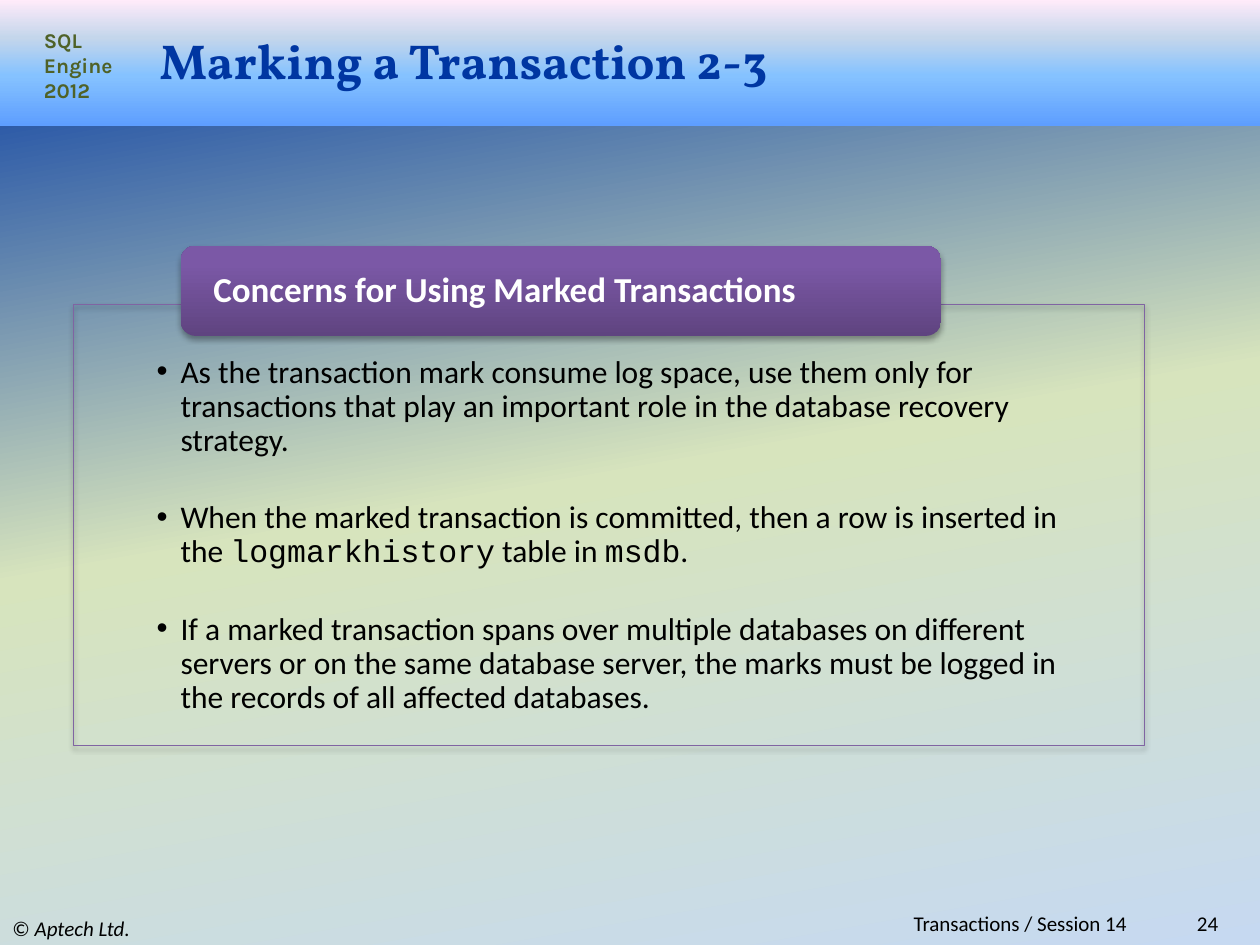
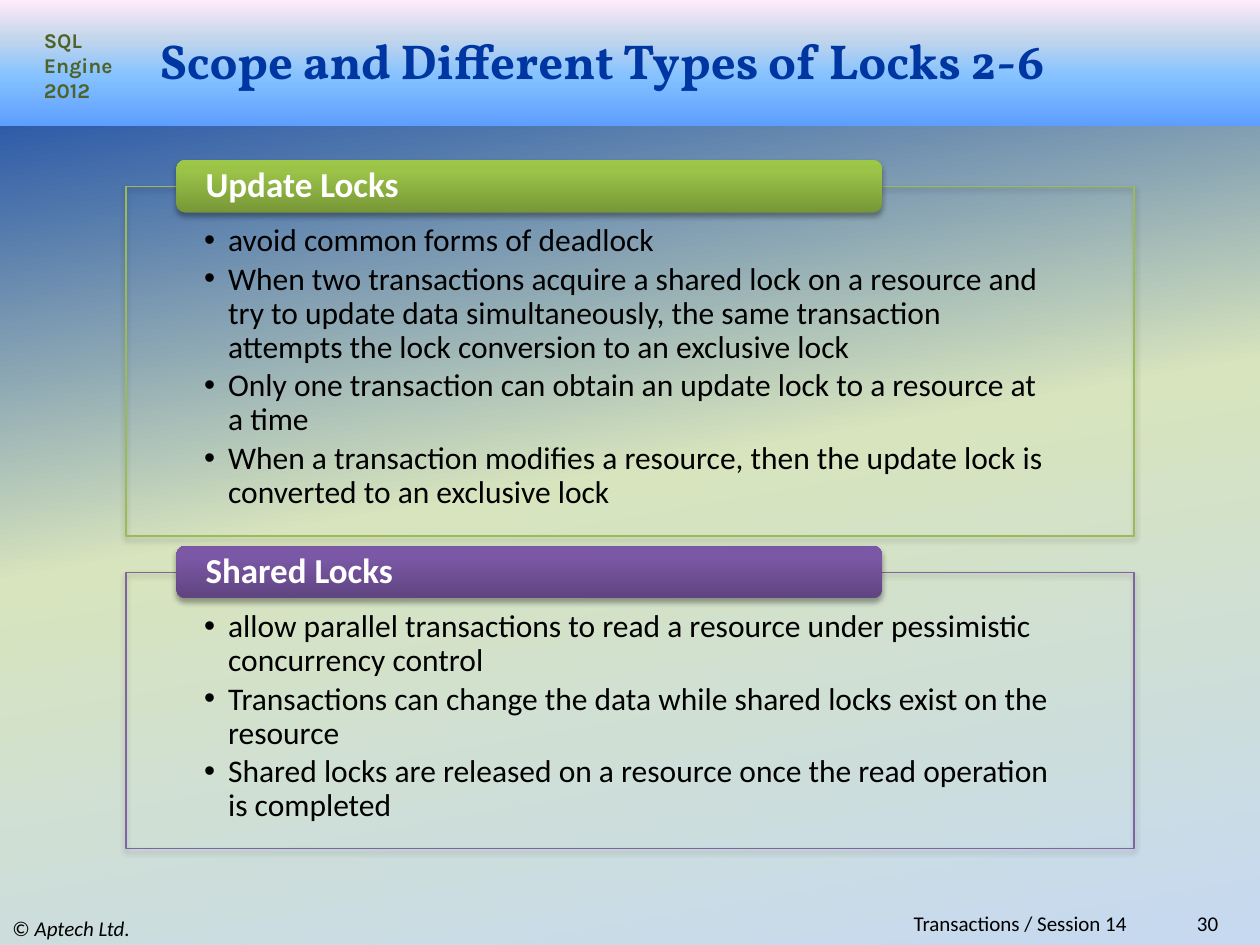
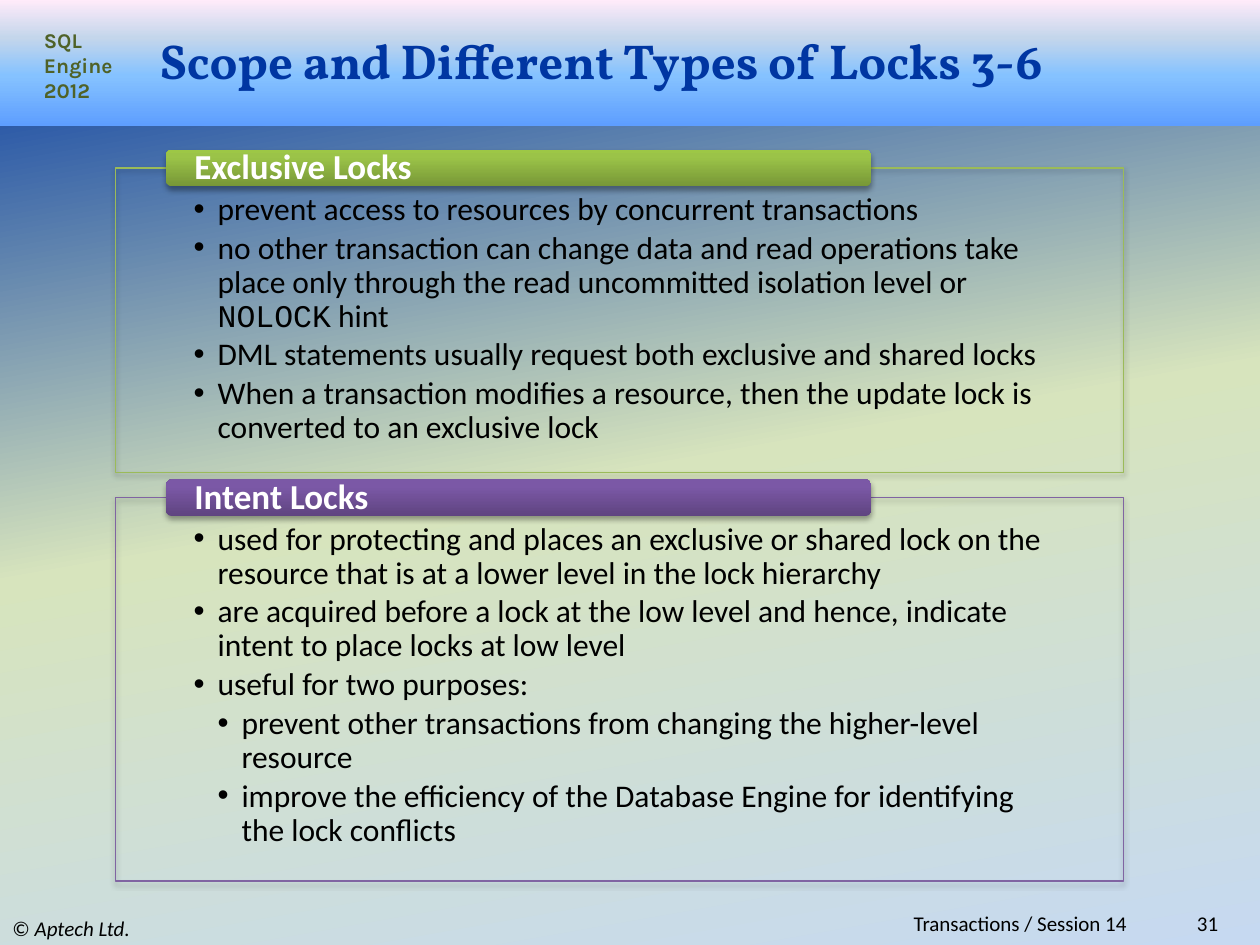
from lxml import etree
from pptx import Presentation
from pptx.dml.color import RGBColor
from pptx.enum.shapes import MSO_SHAPE
from pptx.enum.text import MSO_ANCHOR, MSO_AUTO_SIZE, PP_ALIGN
from pptx.oxml.ns import qn
from pptx.util import Inches, Pt

RECTANGLE, ROUNDED = MSO_SHAPE.RECTANGLE, MSO_SHAPE.ROUNDED_RECTANGLE
TOP, MIDDLE = MSO_ANCHOR.TOP, MSO_ANCHOR.MIDDLE
LEFT, RIGHT = PP_ALIGN.LEFT, PP_ALIGN.RIGHT
NO_AUTOFIT = MSO_AUTO_SIZE.NONE

COLORS = {
    "black": "000000", "white": "FFFFFF", "title": "0036A2",
    "course": "4F6228", "green": "9BBB59", "purple": "8064A2",
}
GRADIENTS = {
    "page": {0: "0036A2", 50: "D7E4BD", 100: "C6D9F1"},
    "band": {0: "5E9EFF", 40: "85C2FF", 70: "C4D6EB", 100: "FFEBFA"},
    "green": {0: "779737", 80: "9BC348", 100: "9DC746"},
    "purple": {0: "5F4480", 80: "7B58A6", 100: "7C57A8"},
}
BODY_FONT, TITLE_FONT, COURSE_FONT = "Calibri", "Vollkorn", "Karla"
CODE = {"name": "Courier New"}
COLUMNS, ROWS = 120, 90
BULLET_INDENT = 0.19


def paint(owner, fill, stops, angle):
    """Fill with a gradient whose angle runs clockwise from the left edge."""
    fill.gradient()
    fill.gradient_angle = 360 - angle
    stop_list = owner.element.find(".//" + qn("a:gsLst"))
    for stop in list(stop_list):
        stop_list.remove(stop)
    for share, color in stops.items():
        stop = etree.SubElement(stop_list, qn("a:gs"), pos=str(share * 1000))
        etree.SubElement(stop, qn("a:srgbClr"), val=color)


def cast_shadow(shape):
    """Give a shape a soft shadow straight below it."""
    shape.shadow.inherit = False
    effects = shape.element.spPr.find(qn("a:effectLst"))
    shadow = etree.SubElement(effects, qn("a:outerShdw"), blurRad="40000",
                              dist="23000", dir="5400000", rotWithShape="0")
    color = etree.SubElement(shadow, qn("a:srgbClr"), val=COLORS["black"])
    etree.SubElement(color, qn("a:alpha"), val="35000")


def add_bullet(para, level):
    """Give a paragraph a hanging bullet at the given level."""
    properties = para._p.get_or_add_pPr()
    properties.set("marL", str(Inches(BULLET_INDENT * level)))
    properties.set("indent", str(-Inches(BULLET_INDENT)))
    etree.SubElement(properties, qn("a:buFont"), typeface="Arial")
    etree.SubElement(properties, qn("a:buChar"), char="•")


def write(frame, text, size=12, font=BODY_FONT, color="black", bold=False, align=LEFT,
          anchor=MIDDLE, bullets=False, spacing=None, after=0, insets=None, marked=CODE):
    """Write lines of text; backticks enclose spans in the marked format."""
    frame.word_wrap, frame.auto_size = True, NO_AUTOFIT
    frame.vertical_anchor = anchor
    if insets:
        (frame.margin_left, frame.margin_top,
         frame.margin_right, frame.margin_bottom) = insets
    for index, line in enumerate(text.split("\n")):
        para = frame.add_paragraph() if index else frame.paragraphs[0]
        if bullets:
            add_bullet(para, 2 if line.startswith("> ") else 1)
        para.alignment, para.space_after = align, Pt(after)
        if spacing:
            para.line_spacing = spacing
        for number, part in enumerate(line.removeprefix("> ").split("`")):
            if not part:
                continue
            span = para.add_run()
            span.text = part
            span.font.name, span.font.size, span.font.bold = font, Pt(size), bold
            span.font.color.rgb = RGBColor.from_string(COLORS[color])
            if number % 2:
                for name, value in marked.items():
                    setattr(span.font, name, value)


class Lesson:
    """Holds the deck, its style and the current page."""

    def __init__(self):
        """Open a deck with the shared background."""
        self.deck = Presentation()
        self.deck.slide_width, self.deck.slide_height = Inches(10), Inches(7.5)
        master = self.deck.slide_master
        paint(master, master.background.fill, GRADIENTS["page"], 80)
        self.page = None

    def place(self, left, top, width, height):
        """Turn columns and rows into slide lengths."""
        column = self.deck.slide_width / COLUMNS
        row = self.deck.slide_height / ROWS
        return (round(left * column), round(top * row),
                round(width * column), round(height * row))

    def text(self, cells, text, **style):
        """Add a text box."""
        box = self.page.shapes.add_textbox(*self.place(*cells))
        write(box.text_frame, text, **style)

    def block(self, kind, cells, gradient):
        """Add a gradient shape without an outline."""
        shape = self.page.shapes.add_shape(kind, *self.place(*cells))
        paint(shape, shape.fill, GRADIENTS[gradient], 270)
        shape.line.fill.background()
        shape.shadow.inherit = False
        return shape

    def start_page(self, title, number):
        """Add a page with its band, title and footers."""
        self.page = self.deck.slides.add_slide(self.deck.slide_layouts[5])
        self.block(RECTANGLE, (0, 0, COLUMNS, 12), "band")
        self.text((0, 86.8, 40, 3.2), "© `Aptech Ltd.`", marked={"italic": True})
        self.text((3, 2, 9, 8.5), "SQL Engine 2012", font=COURSE_FONT,
                  color="course", bold=True, anchor=TOP)
        self.text((107, 86.8, 10.2, 2.2), str(number), align=RIGHT)
        self.text((30, 86.8, 78.5, 2.2), "Transactions / Session 14", align=RIGHT)
        heading = self.page.shapes.title
        heading.left, heading.top, heading.width, heading.height = self.place(3 + 11, 3, 100, 5.4)
        write(heading.text_frame, title, size=28, font=TITLE_FONT, color="title", bold=True)
        heading.element.getparent().append(heading.element)

    def panel(self, cells, heading, points, color, tab_height, text_top,
              tab_left=0.05, tab_width=0.7, rise=None, after=2.7):
        """Add a framed bullet list with a heading tab over its top edge."""
        left, top, width, height = cells
        frame = self.page.shapes.add_shape(RECTANGLE, *self.place(*cells))
        frame.fill.background()
        frame.line.color.rgb = RGBColor.from_string(COLORS[color])
        frame.line.width = Pt(0.75)
        cast_shadow(frame)
        side = 0.0776 * width
        self.text(cells, points, size=18, anchor=TOP, bullets=True, spacing=0.9,
                  after=after, insets=self.place(side, text_top, side, 1.7))
        tab = self.block(ROUNDED, (left + tab_left * width, top - (rise or tab_height / 2),
                                   tab_width * width, tab_height), color)
        cast_shadow(tab)
        inset = 0.0265 * width
        write(tab.text_frame, heading, size=20, color="white", bold=True, spacing=0.9,
              insets=self.place(inset, 0, inset, 0))


def main():
    """Build the three lesson pages."""
    lesson = Lesson()

    lesson.start_page("Marking a Transaction 2-3", 24)
    lesson.panel(
        (7, 29, 102, 42), "Concerns for Using Marked Transactions",
        "As the transaction mark consume log space, use them only for transactions "
        "that play an important role in the database recovery strategy.\n"
        "When the marked transaction is committed, then a row is inserted in the "
        "`logmarkhistory` table in `msdb`.\n"
        "If a marked transaction spans over multiple databases on different servers or on "
        "the same database server, the marks must be logged in the records of all "
        "affected databases.",
        "purple", tab_height=8.6, text_top=4.9, tab_left=0.1, tab_width=0.71,
        rise=5.6, after=24.8)

    lesson.start_page("Scope and Different Types of Locks 2-6", 30)
    lesson.panel(
        (12, 17.75, 96, 33.3), "Update Locks",
        "avoid common forms of deadlock\n"
        "When two transactions acquire a shared lock on a resource and try to update data "
        "simultaneously, the same transaction attempts the lock conversion to an "
        "exclusive lock\n"
        "Only one transaction can obtain an update lock to a resource at a time\n"
        "When a transaction modifies a resource, then the update lock is converted to an "
        "exclusive lock",
        "green", tab_height=5, text_top=3.6)
    lesson.panel(
        (12, 54.5, 96, 26.3), "Shared Locks",
        "allow parallel transactions to read a resource under pessimistic concurrency control\n"
        "Transactions can change the data while shared locks exist on the resource\n"
        "Shared locks are released on a resource once the read operation is completed",
        "purple", tab_height=5, text_top=3.6)

    lesson.start_page("Scope and Different Types of Locks 3-6", 31)
    lesson.panel(
        (11, 16, 96, 29), "Exclusive Locks",
        "prevent access to resources by concurrent transactions\n"
        "no other transaction can change data and read operations take place only through "
        "the read uncommitted isolation level or `NOLOCK` hint\n"
        "DML statements usually request both exclusive and shared locks\n"
        "When a transaction modifies a resource, then the update lock is converted to an "
        "exclusive lock",
        "green", tab_height=3.5, text_top=2.4)
    lesson.panel(
        (11, 47.4, 96, 36.5), "Intent Locks",
        "used for protecting and places an exclusive or shared lock on the resource that is "
        "at a lower level in the lock hierarchy\n"
        "are acquired before a lock at the low level and hence, indicate intent to place "
        "locks at low level\n"
        "useful for two purposes:\n"
        "> prevent other transactions from changing the higher-level resource\n"
        "> improve the efficiency of the Database Engine for identifying the lock conflicts",
        "purple", tab_height=3.5, text_top=2.4)

    lesson.deck.save("out.pptx")


if __name__ == "__main__":
    main()
